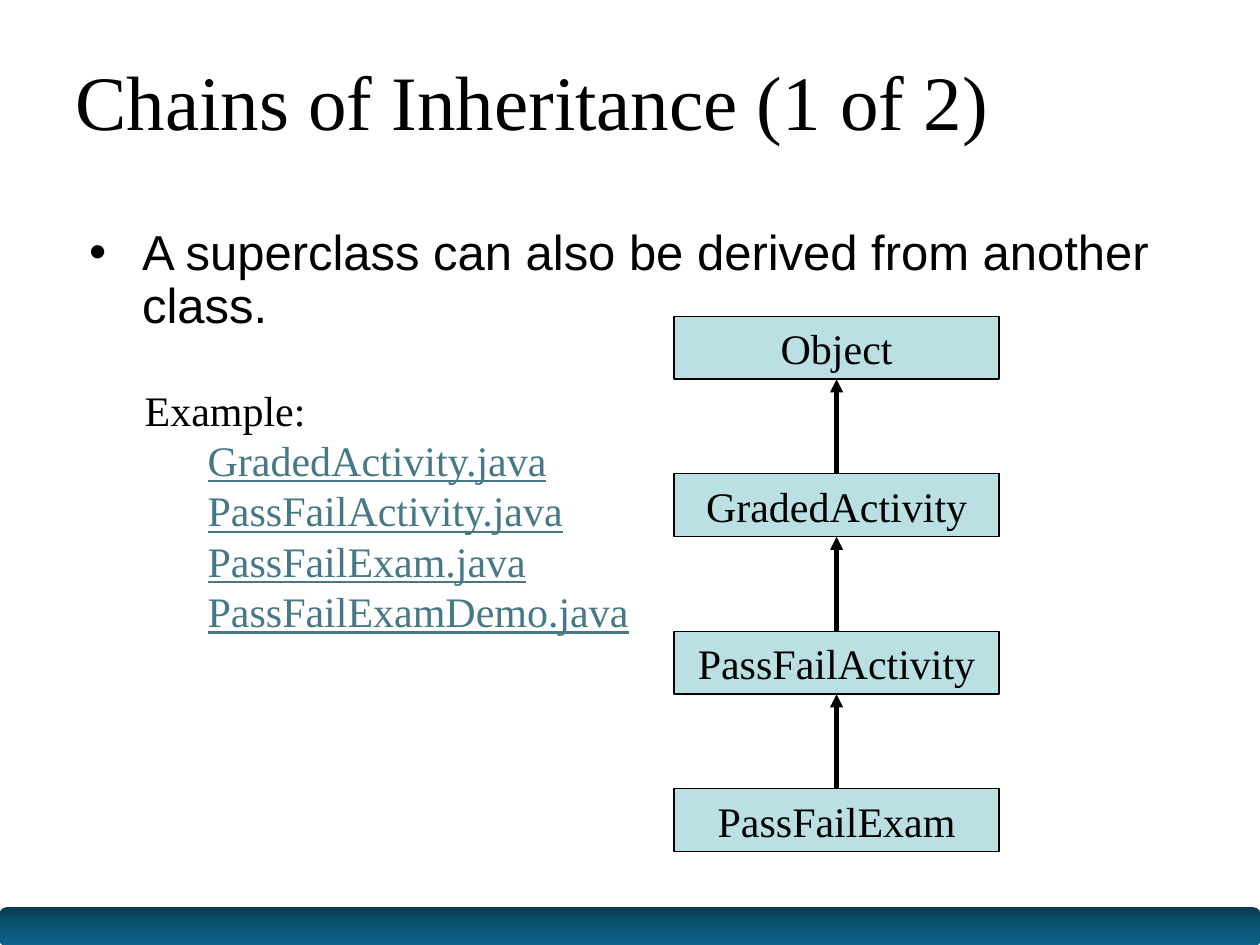
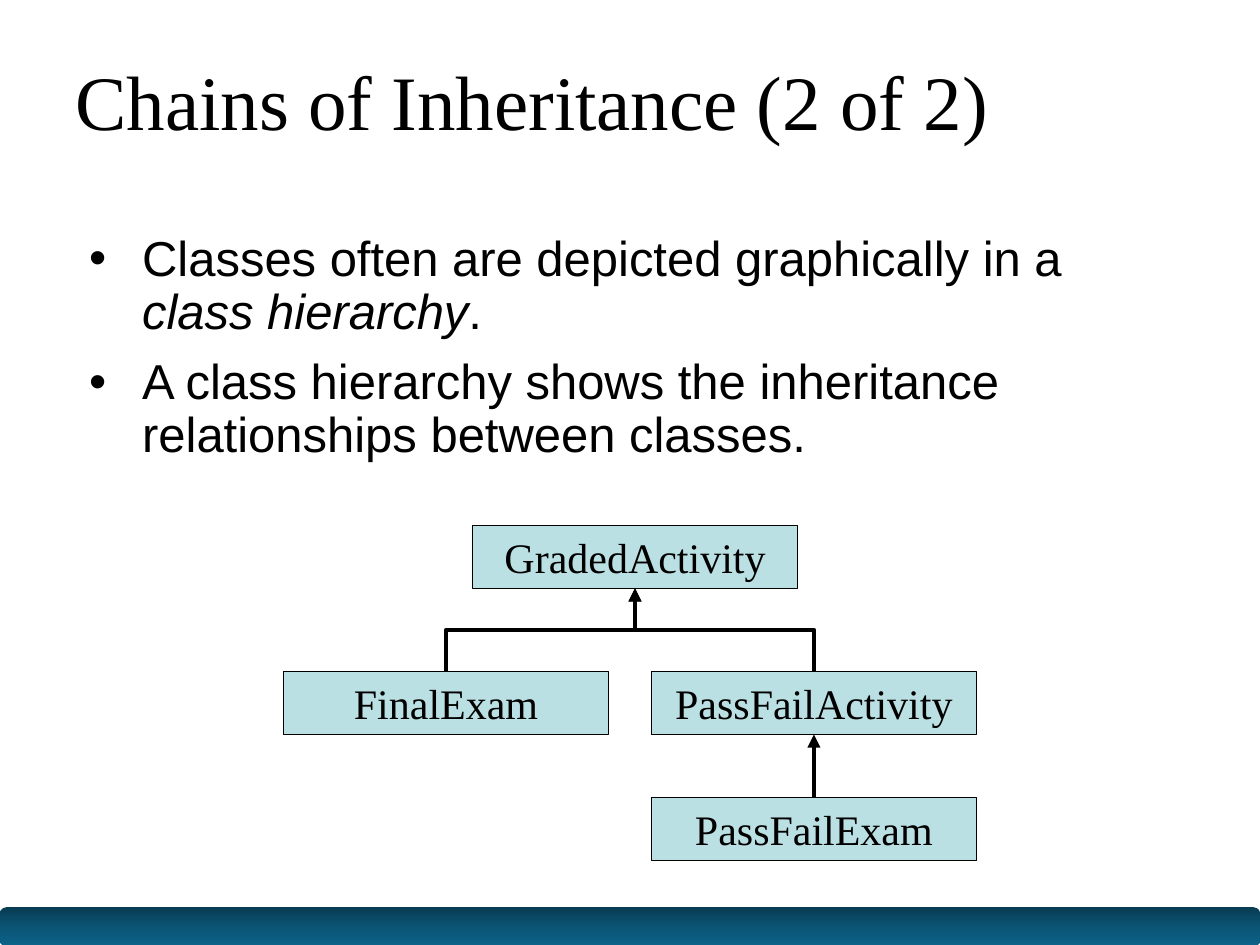
import copy

import pptx
import pptx.dml.color
import pptx.enum.shapes
import pptx.enum.text
import pptx.oxml.ns
import pptx.util
from lxml import etree

SERIF, SANS = "Times New Roman", "Arial"
INK, BOX_FILL, LINK = "000000", "BBE0E3", "467886"
BAND_COLOURS = ["083B52", "0B5474", "0D638A"]
WIDTH, HEIGHT = 10, 7.5
MARGIN, BODY_HEIGHT = 0.5, 4.95
BOX_WIDTH, BOX_HEIGHT = 2.58, 0.5
CHAIN_LEFT, CHAIN_TOP, CHAIN_STEP = 5.35, 2.51, 1.25

TITLE_FORMAT = {"size": 44, "name": SERIF, "color": INK}
BULLET_FORMAT = {"size": 28, "name": SANS, "color": INK}
CLASS_FORMAT = {"size": 24, "name": SERIF, "color": INK}
LINK_FORMAT = {"color": LINK, "underline": True}

CHAIN = ["Object", "GradedActivity", "PassFailActivity", "PassFailExam"]
CHAIN_TREE = {
    name: (CHAIN_LEFT, CHAIN_TOP + CHAIN_STEP * level, CHAIN[level - 1] if level else None)
    for level, name in enumerate(CHAIN)
}
HIERARCHY_TREE = {
    "GradedActivity": (3.75, 4.17, None),
    "FinalExam": (2.25, 5.33, "GradedActivity"),
    "PassFailActivity": (5.17, 5.33, "GradedActivity"),
    "PassFailExam": (5.17, 6.33, "PassFailActivity"),
}
EXAMPLE_FILES = ["GradedActivity.java", "PassFailActivity.java",
                 "PassFailExam.java", "PassFailExamDemo.java"]

SLIDES = [
    {
        "title": "Chains of Inheritance (1 of 2)",
        "body_top": 1.76,
        "bullets": [[("A superclass can also be derived from another class.", {})]],
        "examples": EXAMPLE_FILES,
        "classes": CHAIN_TREE,
    },
    {
        "title": "Chains of Inheritance (2 of 2)",
        "body_top": 1.81,
        "bullets": [
            [("Classes often are depicted graphically in a ", {}),
             ("class hierarchy", {"italic": True}), (".", {})],
            [("A class hierarchy shows the inheritance relationships between classes.", {})],
        ],
        "examples": [],
        "classes": HIERARCHY_TREE,
    },
]


def inches(*lengths):
    return [pptx.util.Inches(length) for length in lengths]


def colour(value):
    return pptx.dml.color.RGBColor.from_string(value)


def add_xml(parent, tag, **attributes):
    return etree.SubElement(parent, pptx.oxml.ns.qn(tag), attributes)


def apply_format(font, values):
    for key, value in values.items():
        if key == "color":
            font.color.rgb = colour(value)
        else:
            setattr(font, key, pptx.util.Pt(value) if key == "size" else value)


def add_run(paragraph, text, *formats):
    run = paragraph.add_run()
    run.text = text
    for values in formats:
        apply_format(run.font, values)


def add_text_frame(slide, *place, middle=False):
    frame = slide.shapes.add_textbox(*inches(*place)).text_frame
    frame.word_wrap = True
    if middle:
        frame.vertical_anchor = pptx.enum.text.MSO_ANCHOR.MIDDLE
    return frame


def set_indent(paragraph, left, first):
    properties = paragraph._p.get_or_add_pPr()
    properties.set("marL", str(pptx.util.Inches(left)))
    properties.set("indent", str(pptx.util.Inches(first)))
    return properties


def add_band(slide):
    band = slide.shapes.add_shape(
        pptx.enum.shapes.MSO_SHAPE.ROUNDED_RECTANGLE, *inches(0, HEIGHT - 0.3, WIDTH, 0.31))
    band.shadow.inherit = False
    band.line.fill.background()
    band.fill.gradient()
    band.fill.gradient_angle = 270
    first_stop = band.fill.gradient_stops[0]._gs
    first_stop.addnext(copy.deepcopy(first_stop))
    for index, (stop, value) in enumerate(zip(band.fill.gradient_stops, BAND_COLOURS)):
        stop.color.rgb = colour(value)
        stop.position = index / (len(BAND_COLOURS) - 1)


def add_title(slide, title):
    paragraph = add_text_frame(slide, MARGIN, 0.24, WIDTH - 2 * MARGIN, 1.2,
                               middle=True).paragraphs[0]
    paragraph.line_spacing = 0.9
    add_run(paragraph, title, TITLE_FORMAT)


def add_bullets(slide, top, bullets):
    frame = add_text_frame(slide, MARGIN, top, WIDTH - 2 * MARGIN, BODY_HEIGHT)
    for index, parts in enumerate(bullets):
        paragraph = frame.add_paragraph() if index else frame.paragraphs[0]
        properties = set_indent(paragraph, 0.53, -0.42)
        add_xml(properties, "a:buFont", typeface=SANS)
        add_xml(properties, "a:buChar", char="•")
        paragraph.line_spacing = 0.9
        paragraph.space_before = pptx.util.Pt(10 if index else 0)
        for text, extra in parts:
            add_run(paragraph, text, BULLET_FORMAT, extra)


def add_examples(slide, files):
    paragraph = add_text_frame(slide, 1.05, 3, 4.04, 2.1).paragraphs[0]
    set_indent(paragraph, 0.5, -0.5)
    add_run(paragraph, "Example:", CLASS_FORMAT)
    for file_name in files:
        paragraph.add_line_break()
        add_run(paragraph, file_name, CLASS_FORMAT, LINK_FORMAT)


def add_class(slide, name, left, top):
    box = slide.shapes.add_shape(
        pptx.enum.shapes.MSO_SHAPE.RECTANGLE, *inches(left, top, BOX_WIDTH, BOX_HEIGHT))
    box.shadow.inherit = False
    box.fill.solid()
    box.fill.fore_color.rgb = colour(BOX_FILL)
    box.line.color.rgb = colour(INK)
    box.line.width = pptx.util.Pt(0.75)
    box.text_frame.word_wrap = False
    box.text_frame.vertical_anchor = pptx.enum.text.MSO_ANCHOR.MIDDLE
    paragraph = box.text_frame.paragraphs[0]
    paragraph.alignment = pptx.enum.text.PP_ALIGN.CENTER
    add_run(paragraph, name, CLASS_FORMAT)


def add_arrow(slide, child, parent):
    start_x, end_x = child[0] + BOX_WIDTH / 2, parent[0] + BOX_WIDTH / 2
    start_y, end_y = child[1], parent[1] + BOX_HEIGHT
    kinds = pptx.enum.shapes.MSO_CONNECTOR
    if start_x == end_x:
        arrow = slide.shapes.add_connector(
            kinds.STRAIGHT, *inches(start_x, start_y, end_x, end_y))
    else:
        middle_x, middle_y = (start_x + end_x) / 2, (start_y + end_y) / 2
        half_rise, half_run = (start_y - end_y) / 2, (end_x - start_x) / 2
        arrow = slide.shapes.add_connector(kinds.ELBOW, *inches(
            middle_x - half_rise, middle_y - half_run,
            middle_x + half_rise, middle_y + half_run))
        arrow._element.spPr.xfrm.set("rot", str(270 * 60000))
    arrow.line.color.rgb = colour(INK)
    arrow.line.width = pptx.util.Pt(2.5)
    add_xml(arrow.line._get_or_add_ln(), "a:tailEnd", type="triangle")
    add_xml(arrow._element.spPr, "a:effectLst")


def main():
    deck = pptx.Presentation()
    deck.slide_width, deck.slide_height = inches(WIDTH, HEIGHT)
    for content in SLIDES:
        slide = deck.slides.add_slide(deck.slide_layouts[6])
        add_band(slide)
        add_title(slide, content["title"])
        add_bullets(slide, content["body_top"], content["bullets"])
        if content["examples"]:
            add_examples(slide, content["examples"])
        classes = content["classes"]
        for name, (left, top, parent) in classes.items():
            add_class(slide, name, left, top)
            if parent:
                add_arrow(slide, (left, top), classes[parent])
    deck.save("out.pptx")


if __name__ == "__main__":
    main()
